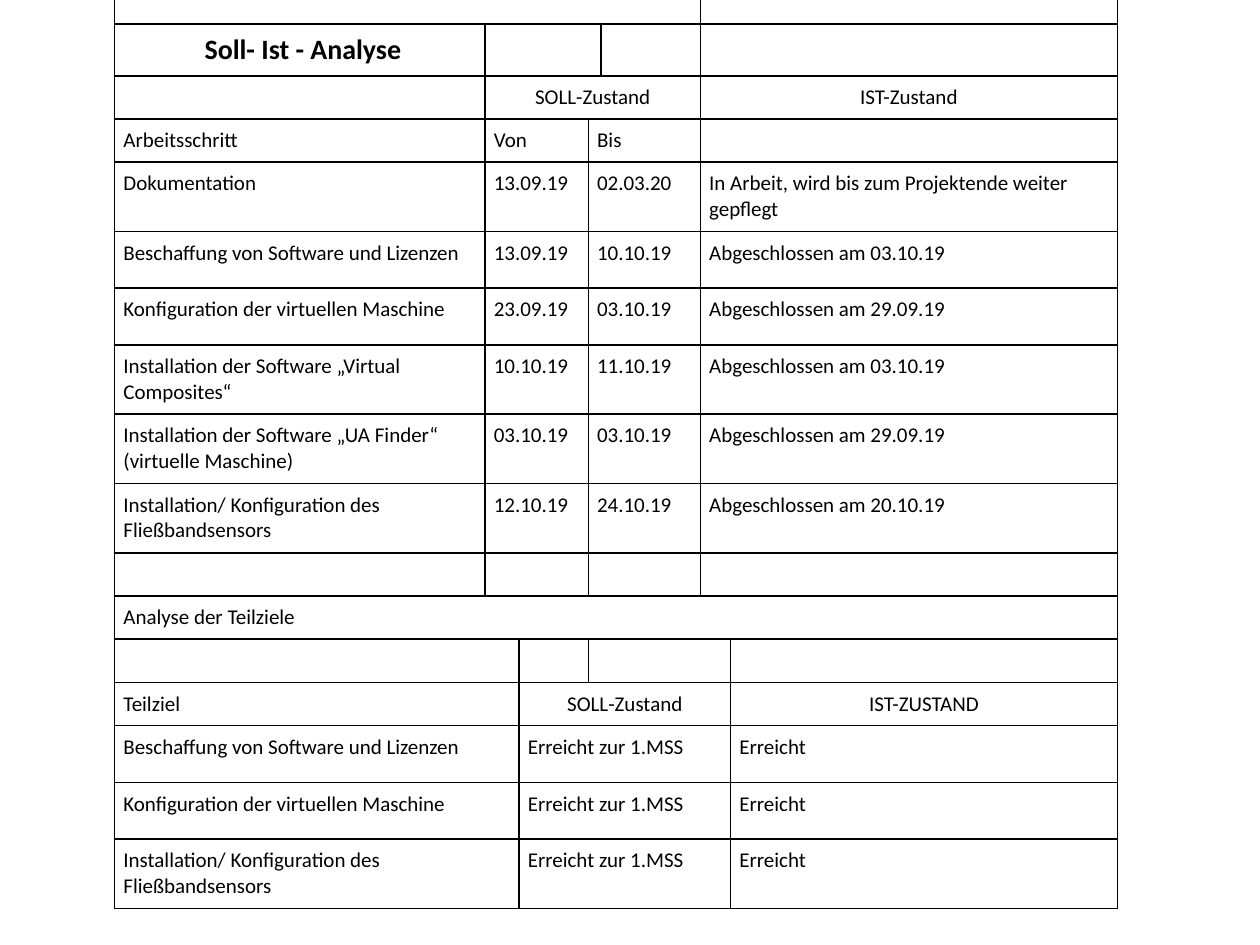
from lxml import etree
from pptx import Presentation
from pptx.dml.color import RGBColor
from pptx.enum import text
from pptx.oxml import ns
from pptx.util import Inches, Pt

INK = "000000"
FONT = "Calibri"
WIDTHS = [2.94, 0.27, 0.55, 0.1, 0.79, 0.24, 3.07]
# Row heights: title, plain, airy and two-line rows
HEAD, LOW, MID, TALL = 0.41, 0.34, 0.45, 0.55
# Column spans of the two sections
STEP = [1, 2, 2, 2]
GOAL = [2, 4, 1]
DONE = "Abgeschlossen am "
GOT = ["Erreicht zur 1.MSS", "Erreicht"]
BUY = "Beschaffung von Software und Lizenzen"
SETUP = "Konfiguration der virtuellen Maschine"
SENSOR = "Installation/ Konfiguration des Fließbandsensors"
TITLE = "Soll- Ist - Analyse"
MIDDLE = {TITLE, "SOLL-Zustand", "IST-Zustand", "IST-ZUSTAND"}

# Each row: height, spans, texts
ROWS = [
    (0.35, [5, 2], ["", ""]),
    (HEAD, [1, 3, 1, 2], [TITLE, "", "", ""]),
    (LOW, [1, 4, 2], ["", "SOLL-Zustand", "IST-Zustand"]),
    (LOW, STEP, ["Arbeitsschritt", "Von", "Bis", ""]),
    (TALL, STEP, ["Dokumentation", "13.09.19", "02.03.20",
                  "In Arbeit, wird bis zum Projektende weiter gepflegt"]),
    (MID, STEP, [BUY, "13.09.19", "10.10.19", DONE + "03.10.19"]),
    (MID, STEP, [SETUP, "23.09.19", "03.10.19", DONE + "29.09.19"]),
    (TALL, STEP, ["Installation der Software „Virtual Composites“",
                  "10.10.19", "11.10.19", DONE + "03.10.19"]),
    (TALL, STEP, ["Installation der Software „UA Finder“ (virtuelle Maschine)",
                  "03.10.19", "03.10.19", DONE + "29.09.19"]),
    (TALL, STEP, [SENSOR, "12.10.19", "24.10.19", DONE + "20.10.19"]),
    (LOW, STEP, [""] * 4),
    (LOW, [7], ["Analyse der Teilziele"]),
    (LOW, [2, 1, 3, 1], [""] * 4),
    (LOW, GOAL, ["Teilziel", "SOLL-Zustand", "IST-ZUSTAND"]),
    (MID, GOAL, [BUY] + GOT),
    (MID, GOAL, [SETUP] + GOT),
    (TALL, GOAL, [SENSOR] + GOT),
]


def color(code):
    return RGBColor.from_string(code)


def frame(cell):
    """Draw a thin line on all four sides of a cell."""
    props = cell._tc.get_or_add_tcPr()
    for i, side in enumerate(("lnL", "lnR", "lnT", "lnB")):
        line = etree.Element(ns.qn("a:" + side), w=str(Pt(1)))
        fill = etree.SubElement(line, ns.qn("a:solidFill"))
        etree.SubElement(fill, ns.qn("a:srgbClr"), val=INK)
        props.insert(i, line)


def write(cell, words):
    cell.margin_left = cell.margin_right = Inches(0.07)
    cell.margin_top = cell.margin_bottom = Inches(0.07)
    para = cell.text_frame.paragraphs[0]
    if not words:
        # An empty cell keeps the small text size
        etree.SubElement(para._p, ns.qn("a:endParaRPr"), sz="1200")
        return
    head = words == TITLE
    para.text = "\u00a0" + words if head else words
    if words in MIDDLE:
        para.alignment = text.PP_ALIGN.CENTER
    font = para.runs[0].font
    font.name, font.size, font.bold = FONT, Pt(16 if head else 12), head
    font.color.rgb = color(INK)


def plan(slide, left, top, width, height):
    """Place the target and actual analysis table in the given box."""
    grid = slide.shapes.add_table(len(ROWS), len(WIDTHS), left, top,
                                  width, height).table
    grid.first_row = grid.horz_banding = False
    for col, size in zip(grid.columns, WIDTHS):
        col.width = int(width * size / sum(WIDTHS))
    total = sum(row[0] for row in ROWS)
    for r, (size, spans, texts) in enumerate(ROWS):
        grid.rows[r].height = int(height * size / total)
        for cell in grid.rows[r].cells:
            cell.fill.background()
            frame(cell)
        c = 0
        for span, words in zip(spans, texts):
            cell = grid.cell(r, c)
            if span > 1:
                cell.merge(grid.cell(r, c + span - 1))
            for k in range(span):
                write(grid.cell(r, c + k), "" if k else words)
            c += span


def main():
    deck = Presentation()
    deck.slide_width, deck.slide_height = Inches(10), Inches(7.5)
    slide = deck.slides.add_slide(deck.slide_layouts[6])
    plan(slide, Inches(0.91), Inches(-0.16), Inches(7.96), Inches(7.35))
    deck.save("out.pptx")


if __name__ == "__main__":
    main()
